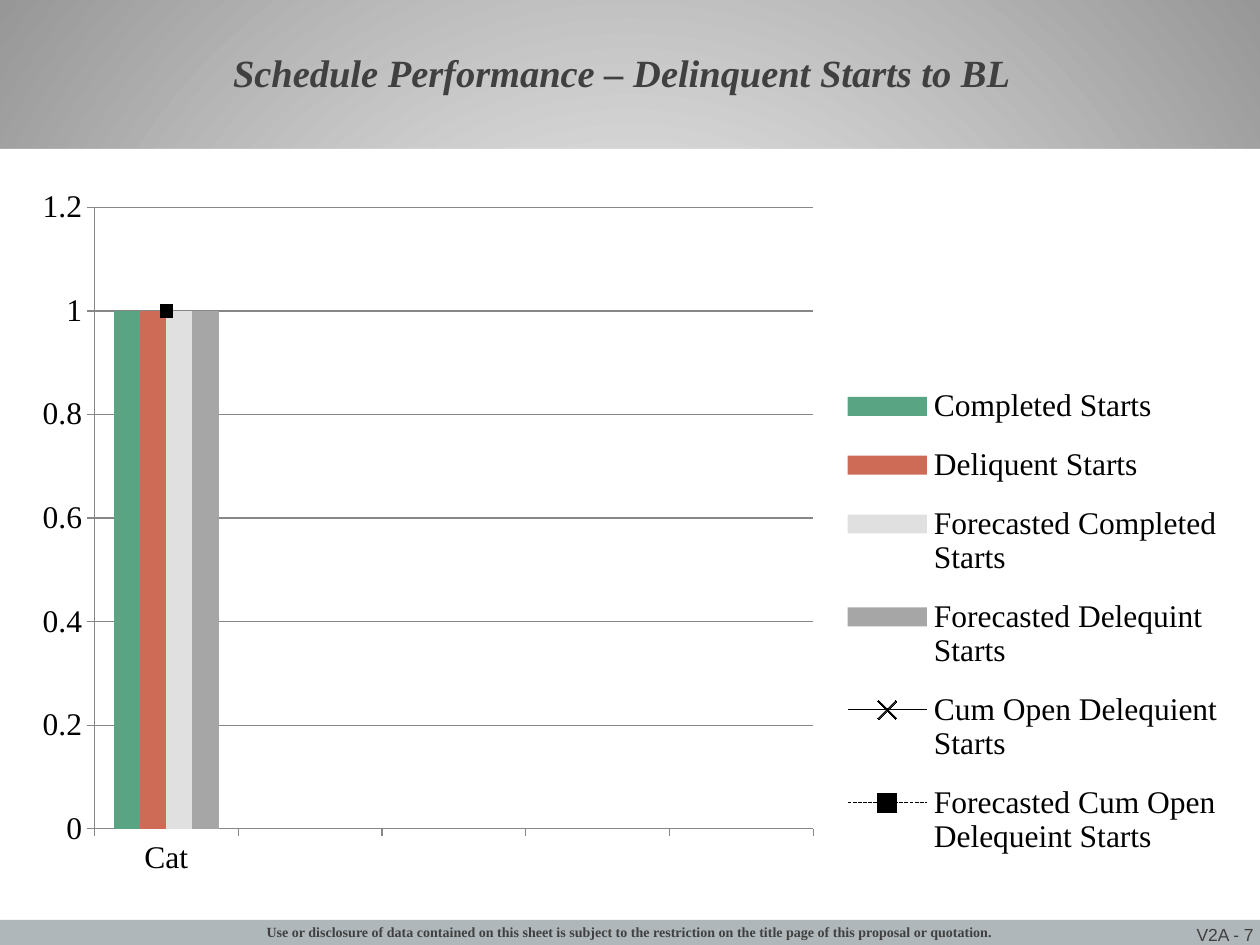
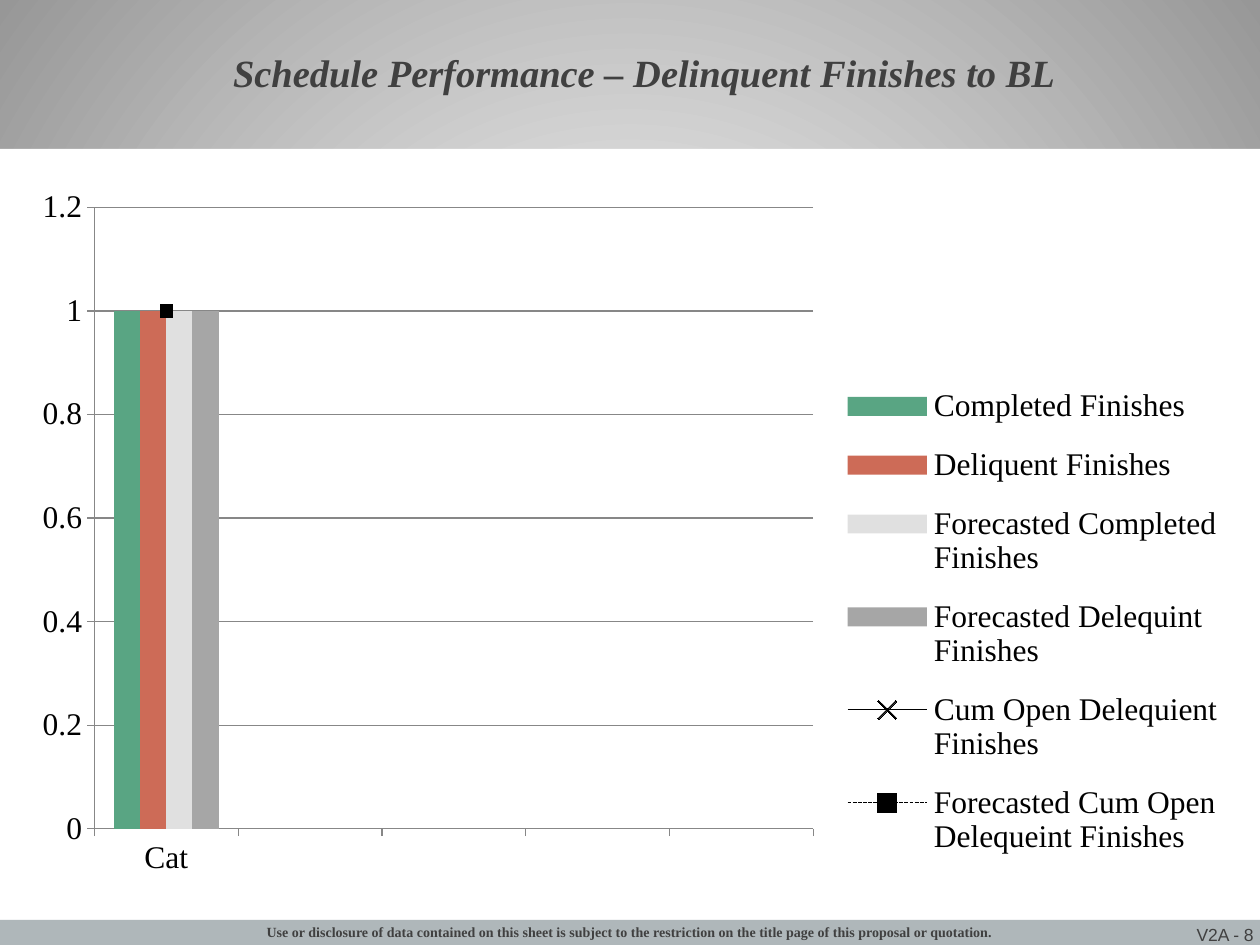
"""Build two schedule performance slides with combined charts."""
from dataclasses import dataclass

from pptx import Presentation
from pptx.chart.data import CategoryChartData
from pptx.dml.color import RGBColor
from pptx.enum import chart as kinds, dml, shapes, text
from pptx.oxml import ns, parse_xml
from pptx.util import Pt


@dataclass(frozen=True)
class Theme:
    """Hold the colours, fonts and type sizes."""
    white: str = "FFFFFF"
    edge: str = "979797"
    strip: str = "AFB7BA"
    ink: str = "404040"
    black: str = "000000"
    grid: str = "878787"
    bars: tuple = ("59A583", "CD6B57", "E0E0E0", "A6A6A6")
    serif: str = "Times New Roman"
    sans: str = "Arial"
    head: int = 22
    plot: int = 18
    page: int = 10
    note: int = 8


THEME = Theme()
NOTE = ("Use or disclosure of data contained on this sheet is subject to the "
        "restriction on the title page of this proposal or quotation.")
BARS = ("Completed", "Deliquent", "Forecasted Completed", "Forecasted Delequint")
LINES = (
    ("Cum Open Delequient", kinds.XL_MARKER_STYLE.X, dml.MSO_LINE.SOLID),
    ("Forecasted Cum Open Delequeint", kinds.XL_MARKER_STYLE.SQUARE,
     dml.MSO_LINE.SQUARE_DOT),
)
CATS = ("Cat", "", "", "", "")
VALUES = (1, None, None, None, None)


def rgb(code):
    """Turn a hex code into a colour."""
    return RGBColor.from_string(code)


def points(*box):
    """Turn numbers into point lengths."""
    return [Pt(side) for side in box]


def style(font, size, color, name, bold=False, slant=False):
    """Set the look of a font."""
    font.size, font.name = Pt(size), name
    font.bold, font.italic = bold, slant
    font.color.rgb = rgb(color)


def paint(fill, color):
    """Fill with one plain colour."""
    fill.solid()
    fill.fore_color.rgb = rgb(color)


def stroke(line, color, width=0.75):
    """Set the colour and width of a line."""
    line.color.rgb = rgb(color)
    line.width = Pt(width)


def add_glow(master):
    """Give the master a round gradient background."""
    fill = master.background.fill
    fill.gradient()
    for stop, color in zip(fill.gradient_stops, (THEME.white, THEME.edge)):
        stop.color.rgb = rgb(color)
    lin = master.element.find(".//" + ns.qn("a:lin"))
    lin.getparent().replace(lin, parse_xml(
        f'<a:path {ns.nsdecls("a")} path="circle">'
        '<a:fillToRect l="50000" t="50000" r="50000" b="50000"/></a:path>'))


def add_band(slide, top, height, color):
    """Draw a band across the slide."""
    band = slide.shapes.add_shape(shapes.MSO_SHAPE.RECTANGLE,
                                  *points(0, top, 720, height))
    band.shadow.inherit = False
    paint(band.fill, color)
    band.line.fill.background()


def add_label(slide, words, box, align, anchor, size, name, bold=False):
    """Add a line of footer text."""
    frame = slide.shapes.add_textbox(*points(*box)).text_frame
    frame.word_wrap = True
    frame.margin_left = frame.margin_right = 0
    frame.margin_top = frame.margin_bottom = 0
    frame.vertical_anchor = anchor
    para = frame.paragraphs[0]
    para.text, para.alignment = words, align
    style(para.font, size, THEME.ink, name, bold)


def add_frame(slide, page):
    """Add the bands and footers shared by the slides."""
    add_band(slide, 85, 442.8, THEME.white)
    add_band(slide, 525.6, 14.4, THEME.strip)
    add_label(slide, f"V2A - {page}", (648.7, 527.8, 67.7, 12.2),
              text.PP_ALIGN.RIGHT, text.MSO_ANCHOR.BOTTOM, THEME.page, THEME.sans)
    add_label(slide, NOTE, (103.7, 527.8, 512.6, 9.4),
              text.PP_ALIGN.CENTER, text.MSO_ANCHOR.TOP, THEME.note, THEME.serif, True)


def set_title(slide, words):
    """Place and format the title."""
    title = slide.shapes.title
    title.left, title.top, title.width, title.height = points(126, 8, 581.8, 70)
    frame = title.text_frame
    frame.auto_size = text.MSO_AUTO_SIZE.NONE
    frame.vertical_anchor = text.MSO_ANCHOR.MIDDLE
    para = frame.paragraphs[0]
    para.text, para.alignment = words, text.PP_ALIGN.LEFT
    para.line_spacing, para.space_before = 0.85, Pt(4.4)
    style(para.font, THEME.head, THEME.ink, THEME.serif, True, True)


def drop(part, tag):
    """Remove the children that have a tag."""
    for child in part.findall(ns.qn(tag)):
        part.remove(child)


def place(part, index, box, inner=False):
    """Fix a chart part at fractions of the chart's size."""
    drop(part, "c:layout")
    target = '<c:layoutTarget val="inner"/>' if inner else ""
    modes = "".join(f'<c:{axis}Mode val="edge"/>' for axis in "xy")
    sides = "".join(f'<c:{side} val="{size}"/>' for side, size in zip("xywh", box))
    part.insert(index, parse_xml(
        f'<c:layout {ns.nsdecls("c")}><c:manualLayout>'
        f'{target}{modes}{sides}</c:manualLayout></c:layout>'))


def split_lines(chart):
    """Move the series after the bars to a line plot."""
    bars = chart.plots[0]._element
    axes = "".join(f'<c:axId val="{axis.get("val")}"/>'
                   for axis in bars.findall(ns.qn("c:axId")))
    lines = parse_xml(
        f'<c:lineChart {ns.nsdecls("c")}><c:grouping val="standard"/>'
        f'<c:varyColors val="0"/><c:marker val="1"/>{axes}</c:lineChart>')
    bars.addnext(lines)
    for spot, series in enumerate(bars.findall(ns.qn("c:ser"))[len(BARS):], 2):
        drop(series, "c:invertIfNegative")
        lines.insert(spot, series)


def style_axes(chart):
    """Set the scale, ticks and grid."""
    for axis in (chart.category_axis, chart.value_axis):
        axis.major_tick_mark = kinds.XL_TICK_MARK.OUTSIDE
        axis.minor_tick_mark = kinds.XL_TICK_MARK.NONE
        stroke(axis.format.line, THEME.grid)
    scale = chart.value_axis
    scale.minimum_scale, scale.maximum_scale, scale.major_unit = 0, 1.2, 0.2
    scale.has_major_gridlines = True
    stroke(scale.major_gridlines.format.line, THEME.grid)


def style_series(chart):
    """Colour the bars and the marked lines."""
    bars, lines = chart.plots
    bars.gap_width, bars.overlap, bars.vary_by_categories = 150, 0, False
    for series, color in zip(bars.series, THEME.bars):
        paint(series.format.fill, color)
    for series, (_, mark, dash) in zip(lines.series, LINES):
        stroke(series.format.line, THEME.black)
        series.format.line.dash_style = dash
        series.smooth = False
        series.marker.style, series.marker.size = mark, 7
        if mark == kinds.XL_MARKER_STYLE.X:
            series.marker.format.fill.background()
        else:
            paint(series.marker.format.fill, THEME.black)
        stroke(series.marker.format.line, THEME.black)


def add_combo(slide, noun):
    """Add the chart of bars and lines."""
    data = CategoryChartData()
    data.categories = CATS
    for name in (*BARS, *(line[0] for line in LINES)):
        data.add_series(f"{name} {noun}", VALUES)
    chart = slide.shapes.add_chart(kinds.XL_CHART_TYPE.COLUMN_CLUSTERED,
                                   *points(12.2, 102.2, 696.2, 408.2), data).chart
    chart.has_title = False
    style(chart.font, THEME.plot, THEME.black, THEME.serif)
    split_lines(chart)
    style_axes(chart)
    style_series(chart)
    chart.has_legend = True
    legend = chart.legend
    legend.position = kinds.XL_LEGEND_POSITION.RIGHT
    legend.include_in_layout = False
    place(legend._element, 1, (0.67, 0.26, 0.32, 0.72))
    area = chart.plots[0]._element.getparent()
    place(area, 0, (0.06, 0.04, 0.59, 0.87), inner=True)


def main():
    """Build and save the slides."""
    deck = Presentation()
    deck.slide_width, deck.slide_height = points(720, 540)
    add_glow(deck.slide_master)
    for page, noun in enumerate(("Starts", "Finishes"), 7):
        slide = deck.slides.add_slide(deck.slide_layouts[5])
        add_frame(slide, page)
        set_title(slide, f"Schedule Performance – Delinquent {noun} to BL")
        add_combo(slide, noun)
    deck.save("out.pptx")


if __name__ == "__main__":
    main()
